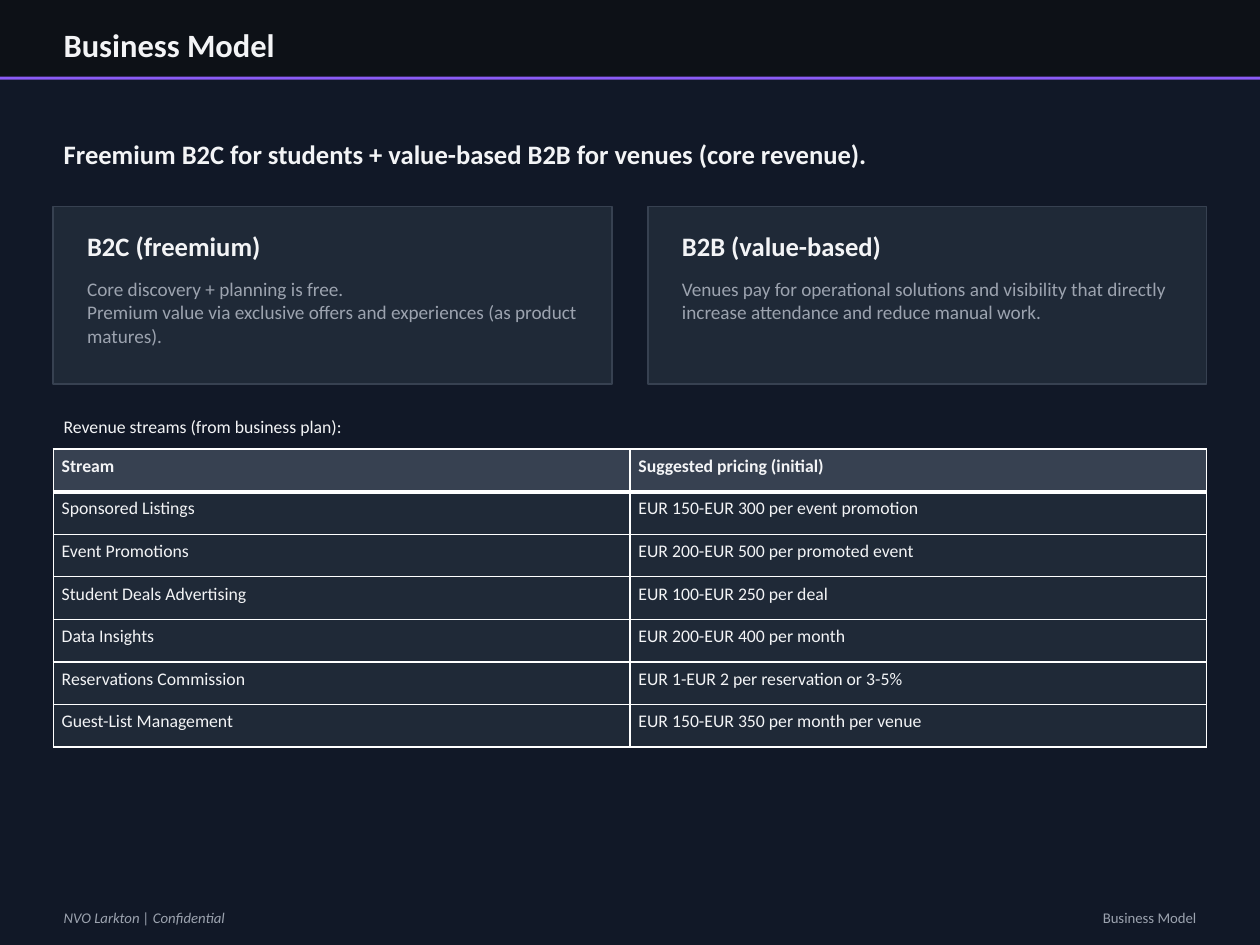
from copy import deepcopy

from lxml import etree
from pptx import Presentation
from pptx.dml.color import RGBColor
from pptx.enum.shapes import MSO_SHAPE
from pptx.enum.text import MSO_AUTO_SIZE, PP_ALIGN
from pptx.oxml.ns import qn
from pptx.util import Inches, Pt

RECTANGLE = MSO_SHAPE.RECTANGLE
GROW = MSO_AUTO_SIZE.SHAPE_TO_FIT_TEXT
LEFT, RIGHT = PP_ALIGN.LEFT, PP_ALIGN.RIGHT

WIDTH, HEIGHT = 11.84, 8.88
MARGIN = 0.5
CONTENT = WIDTH - 2 * MARGIN
HEADER_HEIGHT, ACCENT_HEIGHT = 0.75, 0.03
CARD_TOP, CARD_WIDTH, CARD_HEIGHT = 1.94, 5.25, 1.67
CARD_PAD = 0.22
ROW_HEIGHT = 0.4
FOOTER_TOP = HEIGHT - 0.39

NIGHT, INK, PANEL, SLATE = "111827", "0D1117", "1F2937", "374151"
VIOLET, BRIGHT, MUTED, WHITE = "8B5CF6", "F3F4F6", "9CA3AF", "FFFFFF"

prs = Presentation()
prs.slide_width, prs.slide_height = Inches(WIDTH), Inches(HEIGHT)
slide = prs.slides.add_slide(prs.slide_layouts[6])


def paint(fill, color):
    fill.solid()
    fill.fore_color.rgb = RGBColor.from_string(color)


def write(text, frame=None, box=None, size=12, color=BRIGHT, bold=False,
          italic=False, align=LEFT, after=None):
    """Write one paragraph into frame, or into a new text box at box."""
    if frame is None:
        frame = slide.shapes.add_textbox(*map(Inches, box)).text_frame
        frame.word_wrap = True
        frame.auto_size = GROW
    paragraph = frame.paragraphs[0]
    paragraph.text = text
    paragraph.alignment = align
    if after is not None:
        paragraph.space_after = Pt(after)
    for run in paragraph.runs:
        font = run.font
        font.name, font.size = "Calibri", Pt(size)
        font.bold, font.italic = bold, italic
        paint(font.fill, color)
    for line_break in paragraph._p.findall(qn("a:br")):
        line_break.insert(0, deepcopy(run._r.rPr))


paint(slide.background.fill, NIGHT)

# Header band and cards
cards = [
    ("B2C (freemium)", 0.81,
     "Core discovery + planning is free.\n"
     "Premium value via exclusive offers and experiences (as product matures)."),
    ("B2B (value-based)", 0.54,
     "Venues pay for operational solutions and visibility that directly "
     "increase attendance and reduce manual work."),
]
card_lefts = [MARGIN, WIDTH - MARGIN - CARD_WIDTH]
panels = [
    (0, 0, WIDTH, HEADER_HEIGHT, INK, None),
    (0, HEADER_HEIGHT - ACCENT_HEIGHT, WIDTH, ACCENT_HEIGHT, VIOLET, None),
]
panels += [(left, CARD_TOP, CARD_WIDTH, CARD_HEIGHT, PANEL, SLATE) for left in card_lefts]
for *box, color, outline in panels:
    panel = slide.shapes.add_shape(RECTANGLE, *map(Inches, box))
    panel.shadow.inherit = False
    paint(panel.fill, color)
    if outline:
        paint(panel.line.fill, outline)
        panel.line.width = Pt(1)
    else:
        panel.line.fill.background()

write("Business Model", box=(MARGIN, 0.19, CONTENT, 0.47), size=22, bold=True)
write("Freemium B2C for students + value-based B2B for venues (core revenue).",
      box=(MARGIN, 1.25, CONTENT, 0.4), size=18, bold=True)
for left, (heading, body_height, body) in zip(card_lefts, cards):
    text_left, text_width = left + CARD_PAD, CARD_WIDTH - 2 * CARD_PAD
    write(heading, box=(text_left, CARD_TOP + 0.17, text_width, 0.4), size=18, bold=True)
    write(body, box=(text_left, CARD_TOP + 0.62, text_width, body_height),
          size=13, color=MUTED, after=4)

# Revenue table
write("Revenue streams (from business plan):", box=(MARGIN, 3.86, CONTENT, 0.3))
streams = [
    ("Stream", "Suggested pricing (initial)"),
    ("Sponsored Listings", "EUR 150-EUR 300 per event promotion"),
    ("Event Promotions", "EUR 200-EUR 500 per promoted event"),
    ("Student Deals Advertising", "EUR 100-EUR 250 per deal"),
    ("Data Insights", "EUR 200-EUR 400 per month"),
    ("Reservations Commission", "EUR 1-EUR 2 per reservation or 3-5%"),
    ("Guest-List Management", "EUR 150-EUR 350 per month per venue"),
]
table = slide.shapes.add_table(
    len(streams), 2, Inches(MARGIN), Inches(4.22),
    Inches(CONTENT), Inches(ROW_HEIGHT * len(streams))).table
table.horz_banding = False
for r, stream in enumerate(streams):
    for c, text in enumerate(stream):
        cell = table.cell(r, c)
        cell.margin_left = cell.margin_right = Inches(0.08)
        cell.margin_top = cell.margin_bottom = Inches(0.06)
        write(text, frame=cell.text_frame, bold=r == 0)
        widths = {"lnL": 1, "lnR": 1, "lnT": 3 if r == 1 else 1, "lnB": 3 if r == 0 else 1}
        for side, width in widths.items():
            border = etree.SubElement(cell._tc.get_or_add_tcPr(), qn(f"a:{side}"), w=str(Pt(width)))
            stroke = etree.SubElement(border, qn("a:solidFill"))
            etree.SubElement(stroke, qn("a:srgbClr"), val=WHITE)
        paint(cell.fill, SLATE if r == 0 else PANEL)

# Footer
write("NVO Larkton | Confidential", box=(MARGIN, FOOTER_TOP, 5.56, 0.27),
      size=10, color=MUTED, italic=True)
write("Business Model", box=(WIDTH - MARGIN - 4.5, FOOTER_TOP, 4.5, 0.27),
      size=10, color=MUTED, align=RIGHT)

prs.save("out.pptx")
